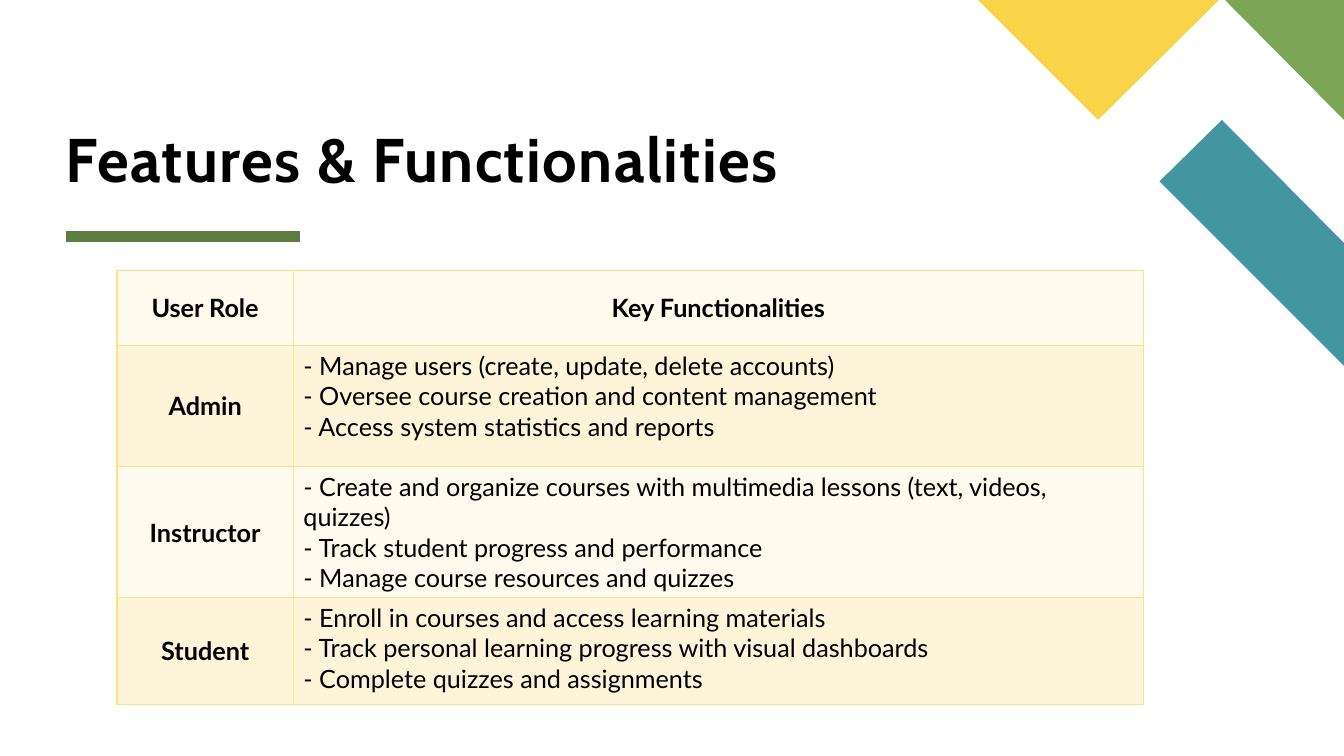
from dataclasses import dataclass

from lxml.etree import SubElement
from pptx import Presentation
from pptx.dml.color import RGBColor
from pptx.enum.shapes import MSO_CONNECTOR
from pptx.enum.text import MSO_ANCHOR, PP_ALIGN
from pptx.oxml import parse_xml
from pptx.oxml.ns import nsdecls, qn
from pptx.slide import Slide
from pptx.table import _Cell
from pptx.text.text import _Paragraph, _Run
from pptx.util import Inches, Pt

COLORS = {
    "teal": "4495A2",
    "green": "7CA655",
    "yellow": "F9D448",
    "rule": "5D7D40",
    "text": "000000",
    "border": "FBE284",
    "light_row": "FEFAED",
    "dark_row": "FDF4D9",
}


@dataclass(frozen=True)
class Ornament:
    color: str
    points: tuple[tuple[float, float], ...]


@dataclass(frozen=True)
class Role:
    name: str
    functions: tuple[str, ...]
    height: float


ORNAMENTS = (
    Ornament("teal", ((13.33, 3.63), (13.33, 2.41), (12.12, 1.19), (11.5, 1.8))),
    Ornament("green", ((13.33, 1.19), (13.33, 0), (12.15, 0))),
    Ornament("yellow", ((9.7, 0), (10.89, 1.19), (12.09, 0))),
)

ROLES = (
    Role("Admin", (
        "- Manage users (create, update, delete accounts)",
        "- Oversee course creation and content management",
        "- Access system statistics and reports",
    ), 1.2),
    Role("Instructor", (
        "- Create and organize courses with multimedia lessons (text, videos, quizzes)",
        "- Track student progress and performance",
        "- Manage course resources and quizzes",
    ), 1.24),
    Role("Student", (
        "- Enroll in courses and access learning materials",
        "- Track personal learning progress with visual dashboards",
        "- Complete quizzes and assignments",
    ), 1.06),
)

HEADINGS = ("User Role", "Key Functionalities")
HEADING_HEIGHT = 0.75
COLUMN_WIDTHS = (1.75, 8.43)


def rgb(name: str) -> RGBColor:
    return RGBColor.from_string(COLORS[name])


def add_span(para: _Paragraph, text: str, font: str, size: float, bold: bool) -> _Run:
    span = para.add_run()
    span.text = text
    span.font.name = font
    span.font.size = Pt(size)
    span.font.bold = bold
    span.font.color.rgb = rgb("text")
    return span


def draw_ornament(page: Slide, ornament: Ornament) -> None:
    points = [(Inches(x), Inches(y)) for x, y in ornament.points]
    builder = page.shapes.build_freeform(*points[0])
    builder.add_line_segments(points[1:], close=True)
    shape = builder.convert_to_shape()
    shape.shadow.inherit = False
    shape.fill.solid()
    shape.fill.fore_color.rgb = rgb(ornament.color)
    shape.line.fill.background()


def draw_rule(page: Slide) -> None:
    rule = page.shapes.add_connector(
        MSO_CONNECTOR.STRAIGHT, Inches(0.65), Inches(2.35), Inches(2.98), Inches(2.35)
    )
    rule.line.color.rgb = rgb("rule")
    rule.line.width = Pt(8)
    SubElement(rule._element.spPr, qn("a:effectLst"))


def draw_title(page: Slide) -> None:
    box = page.shapes.add_textbox(Inches(0.65), Inches(0.3), Inches(10.69), Inches(1.63))
    frame = box.text_frame
    frame.word_wrap = True
    frame.vertical_anchor = MSO_ANCHOR.BOTTOM
    frame.margin_left = frame.margin_right = frame.margin_top = frame.margin_bottom = 0
    para = frame.paragraphs[0]
    para.line_spacing = 0.8
    span = add_span(para, "Features & Functionalities", "Cabin", 44, True)
    span.font._element.set("spc", "100")


def style_cell(cell: _Cell, color: str) -> None:
    cell.fill.solid()
    cell.fill.fore_color.rgb = rgb(color)
    properties = cell._tc.get_or_add_tcPr()
    for index, side in enumerate(("lnL", "lnR", "lnT", "lnB")):
        border = parse_xml(
            f'<a:{side} {nsdecls("a")} w="{Pt(1)}"><a:solidFill>'
            f'<a:srgbClr val="{COLORS["border"]}"/></a:solidFill></a:{side}>'
        )
        properties.insert(index, border)


def write_label(cell: _Cell, text: str) -> None:
    cell.vertical_anchor = MSO_ANCHOR.MIDDLE
    para = cell.text_frame.paragraphs[0]
    para.alignment = PP_ALIGN.CENTER
    add_span(para, text, "Lato", 18, True)


def write_functions(cell: _Cell, functions: tuple[str, ...]) -> None:
    para = cell.text_frame.paragraphs[0]
    for index, text in enumerate(functions):
        if index:
            para.add_line_break()
        add_span(para, text, "Lato", 18, False)


def draw_table(page: Slide) -> None:
    heights = (HEADING_HEIGHT, *(role.height for role in ROLES))
    table = page.shapes.add_table(
        len(heights), len(COLUMN_WIDTHS), Inches(1.16), Inches(2.68),
        Inches(sum(COLUMN_WIDTHS)), Inches(sum(heights)),
    ).table
    table.first_row = False
    table.horz_banding = False
    for column, width in zip(table.columns, COLUMN_WIDTHS):
        column.width = Inches(width)
    for index, (row, height) in enumerate(zip(table.rows, heights)):
        row.height = Inches(height)
        for cell in row.cells:
            style_cell(cell, "dark_row" if index % 2 else "light_row")
    for index, heading in enumerate(HEADINGS):
        write_label(table.cell(0, index), heading)
    for index, role in enumerate(ROLES, start=1):
        write_label(table.cell(index, 0), role.name)
        write_functions(table.cell(index, 1), role.functions)


def main() -> None:
    deck = Presentation()
    deck.slide_width = Inches(13.33)
    deck.slide_height = Inches(7.5)
    page = deck.slides.add_slide(deck.slide_layouts[6])
    for ornament in ORNAMENTS:
        draw_ornament(page, ornament)
    draw_rule(page)
    draw_title(page)
    draw_table(page)
    deck.save("out.pptx")


if __name__ == "__main__":
    main()
